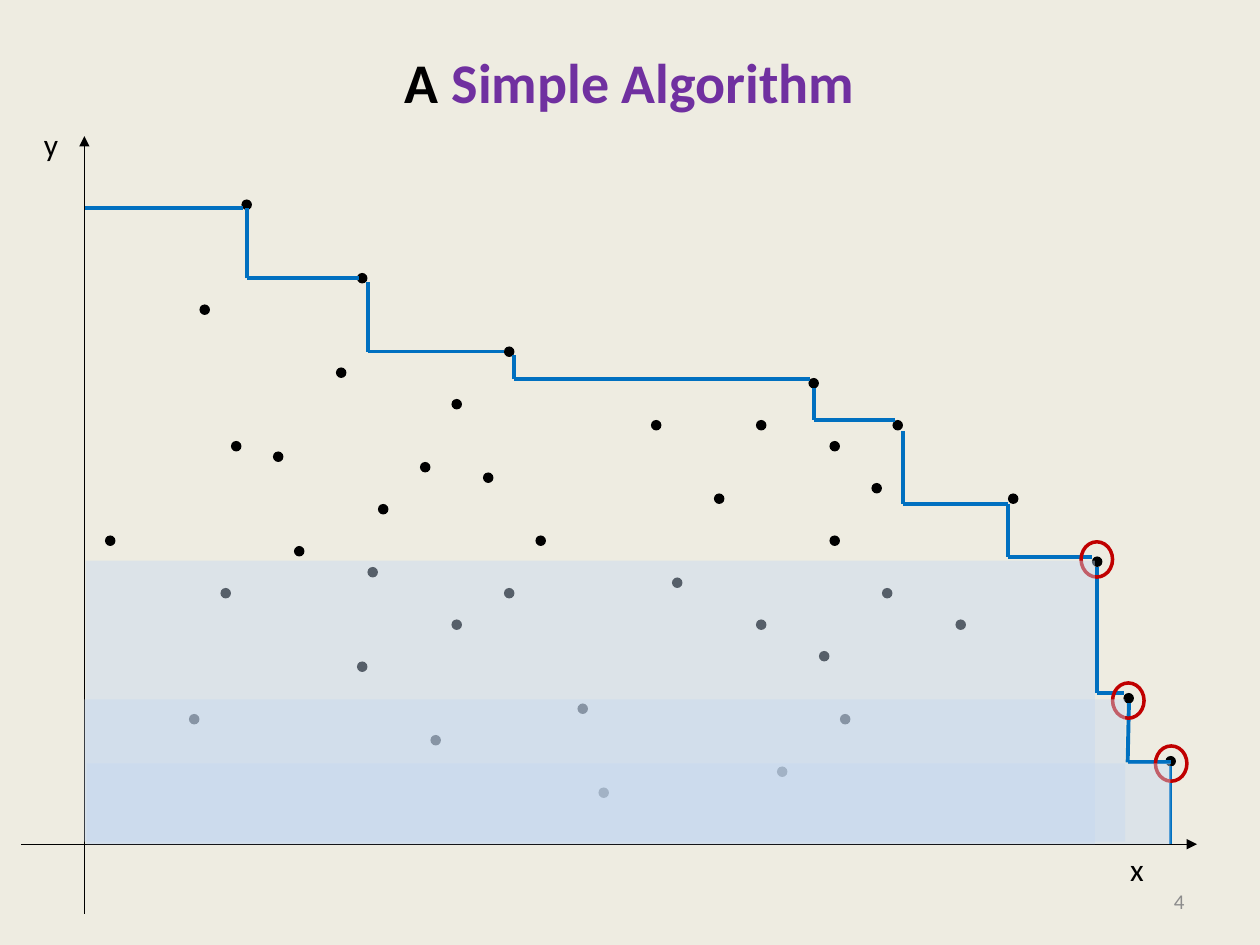
from dataclasses import dataclass

from lxml.etree import SubElement
from pptx import Presentation
from pptx.dml.color import RGBColor
from pptx.enum.shapes import MSO_CONNECTOR, MSO_SHAPE
from pptx.enum.text import MSO_ANCHOR as ANCHOR, PP_ALIGN as ALIGN
from pptx.oxml.ns import qn
from pptx.util import Inches, Pt


@dataclass(frozen=True)
class Theme:
    """Colours, type sizes and line widths of the slide."""
    font: str = "Calibri"
    paper: str = "EEECE1"
    ink: str = "000000"
    accent: str = "7030A0"
    stair: str = "0070C0"
    ring: str = "C00000"
    band: str = "C6D9F1"
    muted: str = "8C8C8C"
    band_alpha: int = 44
    title: int = 32
    label: int = 18
    number: int = 12
    axis_w: float = 0.75
    stair_w: float = 2.25
    ring_w: float = 2


T = Theme()
CELL = 1 / 12  # dots sit on a grid of twelfths of an inch
ORIGIN = (0.67, 6.7)


def rgb(code):
    """Return the colour for a hex code."""
    return RGBColor.from_string(code)


def write(tf, *parts, size, align=ALIGN.LEFT, anchor=ANCHOR.TOP, bold=False, wrap=True):
    """Fill a text frame with one paragraph of (text, colour) parts."""
    tf.word_wrap, tf.vertical_anchor = wrap, anchor
    p = tf.paragraphs[0]
    p.alignment = align
    for text, color in parts:
        r = p.add_run()
        r.text = text
        r.font.name, r.font.size, r.font.bold = T.font, Pt(size), bold
        r.font.color.rgb = rgb(color)


class Sketch:
    """Draws the elements of one slide in the theme's style."""

    def __init__(self, prs):
        """Add a title-only slide with the theme's background."""
        self.s = prs.slides.add_slide(prs.slide_layouts[5])
        self.s.background.fill.solid()
        self.s.background.fill.fore_color.rgb = rgb(T.paper)

    def title(self, box, *parts):
        """Place the title at the top of its box."""
        sp = self.s.shapes.title
        sp.left, sp.top, sp.width, sp.height = map(Inches, box)
        sp.text_frame.margin_top = Inches(0.08)
        write(sp.text_frame, *parts, size=T.title, align=ALIGN.CENTER, bold=True)

    def text(self, box, text, color=T.ink, **fmt):
        """Add a text box."""
        sp = self.s.shapes.add_textbox(*map(Inches, box))
        write(sp.text_frame, (text, color), **fmt)

    def shape(self, kind, box, fill=None, line=None, alpha=None, parent=None):
        """Add a preset shape with an optional fill, outline and opacity."""
        sp = (parent or self.s).shapes.add_shape(kind, *map(Inches, box))
        sp.shadow.inherit = False
        if fill:
            sp.fill.solid()
            sp.fill.fore_color.rgb = rgb(fill)
        else:
            sp.fill.background()
        if alpha:
            color = sp.fill._xPr.find(f".//{qn('a:srgbClr')}")
            SubElement(color, qn("a:alpha")).set("val", str(alpha * 1000))
        if line:
            sp.line.color.rgb, sp.line.width = rgb(line), Pt(T.ring_w)
        else:
            sp.line.fill.background()

    def dots(self, cells, grouped=False):
        """Add one dot per grid cell, as a group if wanted."""
        parent = self.s.shapes.add_group_shape() if grouped else None
        for col, row in cells:
            box = (col * CELL, row * CELL, CELL, CELL)
            self.shape(MSO_SHAPE.OVAL, box, fill=T.ink, parent=parent)

    def line(self, start, end, color, width, arrow=None):
        """Add a straight line, with an arrow at its headEnd or tailEnd."""
        c = self.s.shapes.add_connector(
            MSO_CONNECTOR.STRAIGHT, *map(Inches, (*start, *end)))
        c.line.color.rgb, c.line.width = rgb(color), Pt(width)
        if arrow:
            SubElement(c.line._get_or_add_ln(), qn(f"a:{arrow}")).set("type", "triangle")
        SubElement(c._element.spPr, qn("a:effectLst"))


OPEN_DOTS = [
    (43, 38), (51, 51), (83, 46), (79, 51), (23, 19), (36, 48), (85, 40), (32, 35),
    (26, 43), (28, 52), (22, 42), (19, 29), (79, 42), (72, 40), (34, 26), (46, 45),
    (111, 72), (104, 53), (96, 47), (107, 66), (10, 51), (40, 44), (62, 40),
    (77, 36), (48, 33), (68, 47)]
COVERED_DOTS = [
    [(74, 73), (57, 75)],
    [(21, 56), (43, 59), (91, 59), (78, 62), (34, 63), (72, 59), (48, 56), (84, 56),
     (35, 54), (64, 55)],
    [(80, 68), (41, 70), (18, 68), (55, 67)]]
TREADS = [  # left, right, height
    (0.67, 1.93, 1.65), (1.96, 2.85, 2.21), (2.92, 4, 2.79), (4.08, 6.43, 3.01),
    (6.46, 7.1, 3.33), (7.17, 8, 4), (8, 8.67, 4.42), (8.71, 8.92, 5.5),
    (8.95, 9.29, 6.05)]
RISERS = [  # foot, top x, top y
    (1.96, 2.21, 1.96, 1.65), (2.92, 2.79, 2.92, 2.24), (4.08, 3.01, 4.08, 2.82),
    (6.46, 3.33, 6.46, 3.08), (7.17, 4, 7.17, 3.42), (8, 4.42, 8, 4),
    (8.71, 5.5, 8.71, 4.5), (8.95, 6.05, 8.96, 5.58), (9.29, 6.7, 9.29, 6.08)]
RINGS = [(9.17, 5.92), (8.83, 5.42), (8.58, 4.3)]
BANDS = [(0.69, 6.06, 8.6, 0.64), (0.67, 5.55, 8.26, 1.13), (0.68, 4.45, 8.01, 2.25)]


def main():
    """Build and save the slide."""
    prs = Presentation()
    prs.slide_width, prs.slide_height = Inches(10), Inches(7.5)
    sk = Sketch(prs)
    sk.title((0.5, 0.3, 9, 1.25), ("A ", T.ink), ("Simple Algorithm", T.accent))
    sk.text((7.17, 6.95, 2.33, 0.4), "4", T.muted, size=T.number,
            align=ALIGN.RIGHT, anchor=ANCHOR.MIDDLE)

    sk.dots(OPEN_DOTS)
    for cells in COVERED_DOTS:
        sk.dots(cells, grouped=True)

    for left, right, y in TREADS:
        sk.line((left, y), (right, y), T.stair, T.stair_w)
    for foot_x, foot_y, top_x, top_y in RISERS:
        sk.line((foot_x, foot_y), (top_x, top_y), T.stair, T.stair_w)
    for x, y in RINGS:
        sk.shape(MSO_SHAPE.OVAL, (x, y, 0.25, 0.28), line=T.ring)

    x0, y0 = ORIGIN
    sk.line((x0, 1.08), (x0, 7.25), T.ink, T.axis_w, arrow="headEnd")
    sk.line((0.17, y0), (9.5, y0), T.ink, T.axis_w, arrow="tailEnd")
    sk.text((0.25, 0.94, 0.32, 0.4), "y", size=T.label, wrap=False)
    sk.text((8.87, y0, 0.31, 0.4), "x", size=T.label, wrap=False)

    for box in BANDS:
        sk.shape(MSO_SHAPE.RECTANGLE, box, fill=T.band, alpha=T.band_alpha)
    prs.save("out.pptx")


main()
